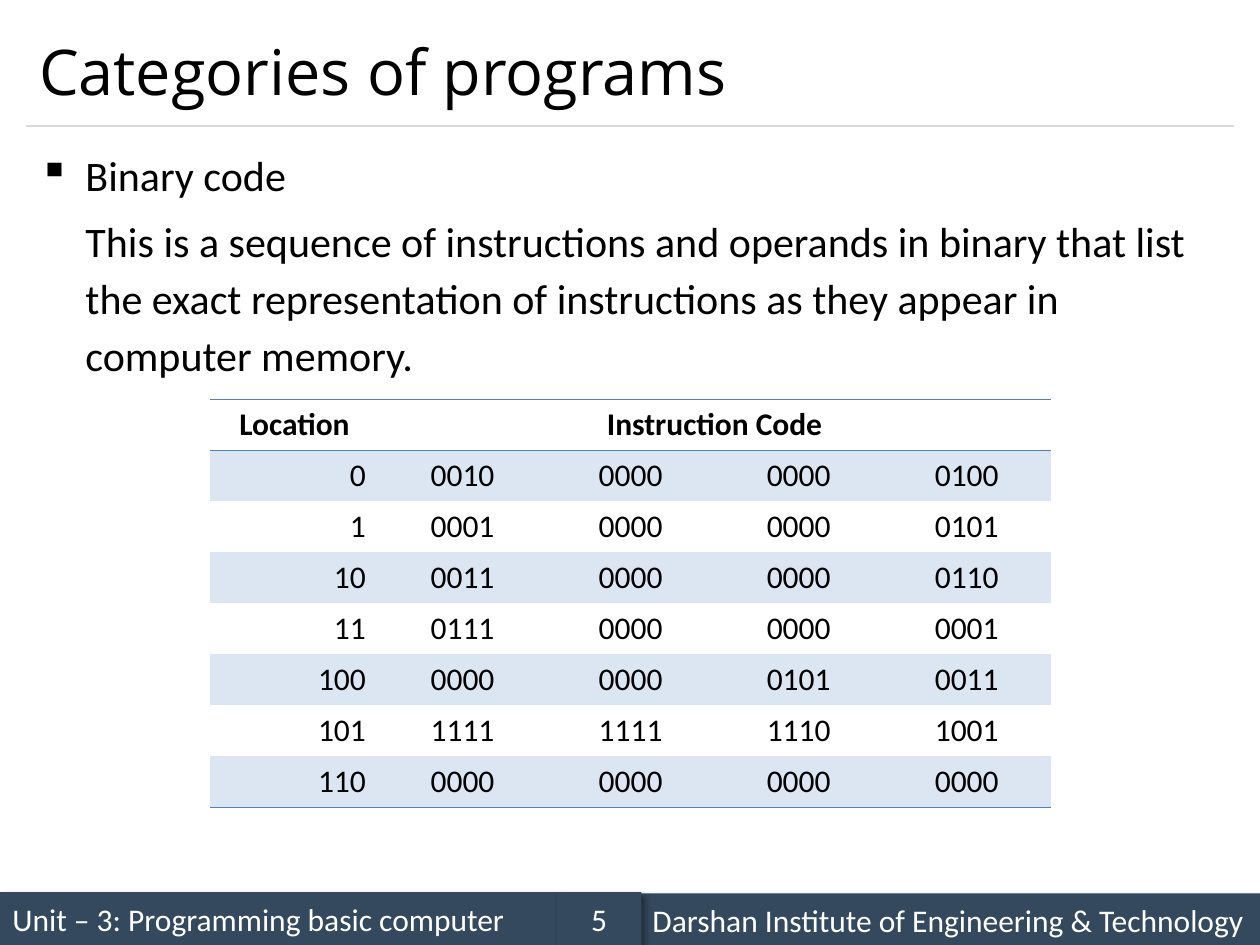
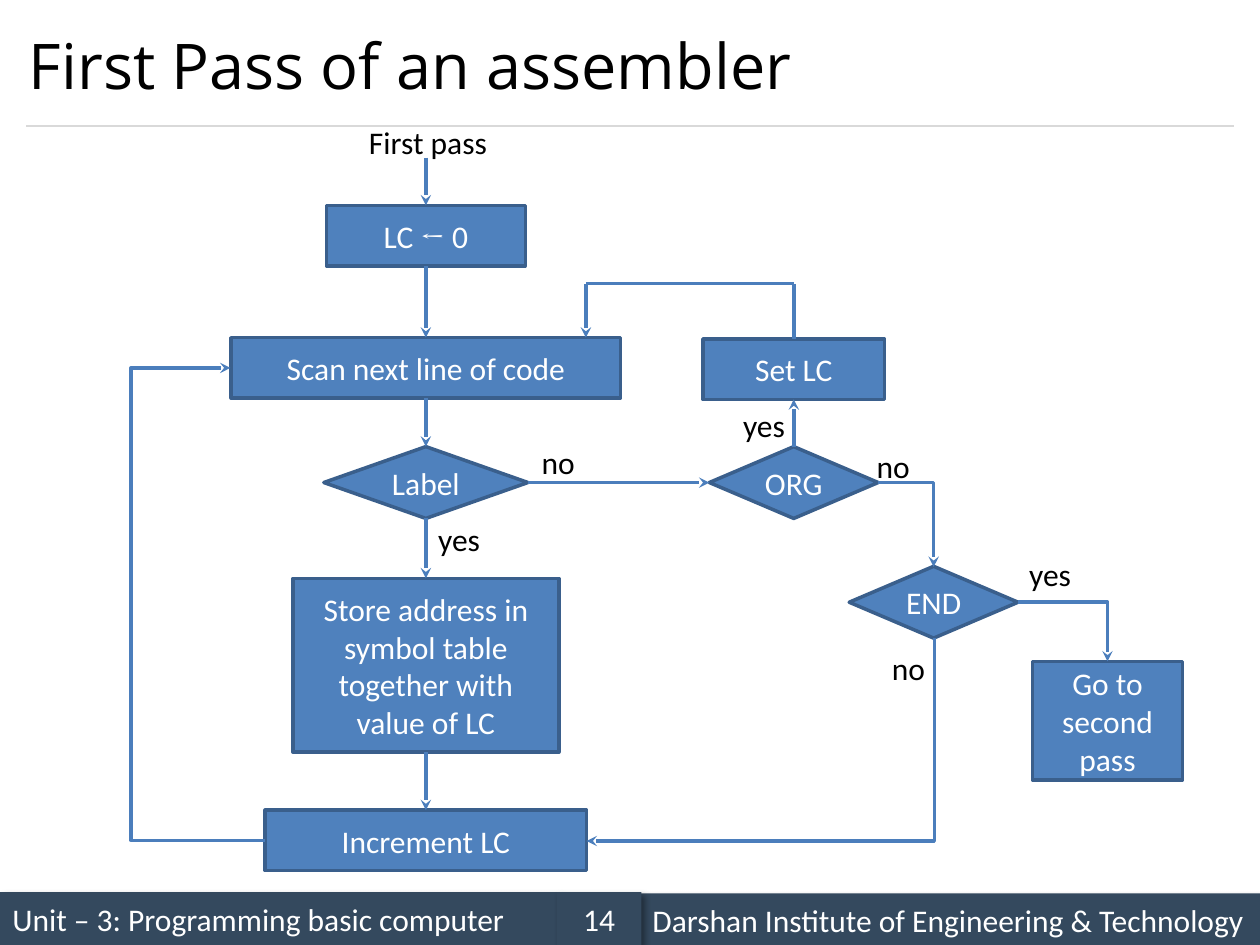
from lxml.etree import SubElement
from pptx import Presentation
from pptx.dml.color import RGBColor
from pptx.enum.shapes import MSO_CONNECTOR as Link, MSO_SHAPE as Shape
from pptx.enum.text import MSO_ANCHOR as Anchor, PP_ALIGN as Align
from pptx.oxml.ns import qn
from pptx.util import Inches, Pt

BLACK = RGBColor(0x00, 0x00, 0x00)
WHITE = RGBColor(0xFF, 0xFF, 0xFF)
SLATE = RGBColor(0x34, 0x49, 0x5E)
RULE_GREY = RGBColor(0xD9, 0xD9, 0xD9)
BLUE = RGBColor(0x4F, 0x81, 0xBD)
OUTLINE_BLUE = RGBColor(0x3A, 0x5F, 0x8C)
ARROW_BLUE = RGBColor(0x4B, 0x7E, 0xBC)
BAND_BLUE = RGBColor(0xDC, 0xE6, 0xF2)

BODY_FONT = "Calibri"
TITLE = {"name": "Open Sans", "size": Pt(36), "color": BLACK}
LEAD = {"name": BODY_FONT, "size": Pt(24), "color": BLACK}
LABEL = {"name": BODY_FONT, "size": Pt(18), "color": BLACK}
HEADER = {**LABEL, "bold": True}
ON_DARK = {**LABEL, "color": WHITE}
NO_GRID_STYLE = "{2D5ABB26-0587-4C30-8999-92F81FD0307C}"

UNIT = "Unit – 3: Programming basic computer"
INSTITUTE = "Darshan Institute of Engineering & Technology"

LEAD_LINES = [
    "Binary code",
    "This is a sequence of instructions and operands in binary that list the exact "
    "representation of instructions as they appear in computer memory.",
]
CODE_HEADER = ["Location", "Instruction Code"]
CODE_ROWS = [
    ["0", "0010", "0000", "0000", "0100"],
    ["1", "0001", "0000", "0000", "0101"],
    ["10", "0011", "0000", "0000", "0110"],
    ["11", "0111", "0000", "0000", "0001"],
    ["100", "0000", "0000", "0101", "0011"],
    ["101", "1111", "1111", "1110", "1001"],
    ["110", "0000", "0000", "0000", "0000"],
]

MAIN_X, ORG_X, END_X, FINISH_X = 3.38, 6.3, 7.41, 8.79
TEST_Y, SCAN_Y, STEP_Y = 3.83, 2.92, 6.67
BOX, TEST = Shape.RECTANGLE, Shape.FLOWCHART_DECISION
STEPS = {
    "reset": (BOX, MAIN_X, 1.87, 1.58, 0.48, "LC ← 0"),
    "scan": (BOX, MAIN_X, SCAN_Y, 3.09, 0.48, "Scan next line of code"),
    "label": (TEST, MAIN_X, TEST_Y, 1.62, 0.57, "Label"),
    "store": (BOX, MAIN_X, 5.28, 2.11, 1.38,
              "Store address in symbol table together with value of LC"),
    "increment": (BOX, MAIN_X, STEP_Y, 2.55, 0.48, "Increment LC"),
    "set": (BOX, ORG_X, 2.93, 1.44, 0.48, "Set LC"),
    "org": (TEST, ORG_X, TEST_Y, 1.34, 0.57, "ORG"),
    "end": (TEST, END_X, 4.78, 1.34, 0.57, "END"),
    "finish": (BOX, FINISH_X, 5.72, 1.19, 0.94, "Go to second pass"),
}
TOP, LEFT, BOTTOM, RIGHT = range(4)
JOINS = [
    ("reset", BOTTOM, "scan", TOP),
    ("scan", BOTTOM, "label", TOP),
    ("label", RIGHT, "org", LEFT),
    ("label", BOTTOM, "store", TOP),
    ("store", BOTTOM, "increment", TOP),
    ("org", TOP, "set", BOTTOM),
]
FLOW_LABELS = [
    (2.83, 0.93, 1.15, "First pass"),
    (4.2, 3.47, 0.47, "no"),
    (6.86, 3.5, 0.47, "no"),
    (6.98, 5.1, 0.47, "no"),
    (3.38, 4.08, 0.54, "yes"),
    (5.8, 3.17, 0.54, "yes"),
    (8.07, 4.36, 0.54, "yes"),
]


def apply_format(font, values):
    for key, value in values.items():
        if key == "color":
            font.color.rgb = value
        else:
            setattr(font, key, value)


def write(frame, text, values, align=Align.LEFT, anchor=Anchor.MIDDLE):
    frame.vertical_anchor = anchor
    para = frame.paragraphs[0]
    para.alignment = align
    before, arrow, after = text.partition("←")
    for part in filter(None, (before, arrow, after)):
        span = para.add_run()
        span.text = part
        apply_format(span.font, values)
        if part == "←":
            span.font.name = "Cambria"


def add_block(page, kind, area, fill, text, align, outline=None):
    block = page.shapes.add_shape(kind, *map(Inches, area))
    block.shadow.inherit = False
    block.fill.solid()
    block.fill.fore_color.rgb = fill
    if outline:
        block.line.color.rgb = outline
        block.line.width = Pt(2)
    else:
        block.line.fill.background()
    block.text_frame.word_wrap = True
    write(block.text_frame, text, ON_DARK, align)
    return block


def add_line(page, start, end, color=ARROW_BLUE, width=2, arrow=True, kind=Link.STRAIGHT):
    line = page.shapes.add_connector(kind, *map(Inches, (*start, *end)))
    line.line.color.rgb = color
    line.line.width = Pt(width)
    if arrow:
        SubElement(line.line._get_or_add_ln(), qn("a:tailEnd"), type="stealth")
    SubElement(line._element.spPr, qn("a:effectLst"))
    return line


def add_elbow(page, start, end, preset="bentConnector2", turn=0, bend=None):
    elbow = add_line(page, start, end, kind=Link.ELBOW)
    geometry = elbow._element.spPr.find(qn("a:prstGeom"))
    geometry.set("prst", preset)
    if turn:
        elbow._element.spPr.find(qn("a:xfrm")).set("rot", str(turn * 60000))
    if bend:
        guides = geometry.find(qn("a:avLst"))
        if guides is None:
            guides = SubElement(geometry, qn("a:avLst"))
        SubElement(guides, qn("a:gd"), name="adj1", fmla=f"val {round(bend * 100000)}")


def add_footer_shadow(block):
    effects = block._element.spPr.find(qn("a:effectLst"))
    shadow = SubElement(effects, qn("a:outerShdw"), blurRad=str(Pt(4)), dist=str(Pt(3)),
                        dir=str(45 * 60000), algn="tl", rotWithShape="0")
    color = SubElement(shadow, qn("a:srgbClr"), val="000000")
    SubElement(color, qn("a:alpha"), val="40000")


def add_page(deck, title, number, left, top):
    page = deck.slides.add_slide(deck.slide_layouts[5])
    footers = [
        ((0, 7.08, 4.42, 0.42), UNIT, Align.LEFT),
        ((5.08, 7.09, 4.92, 0.42), INSTITUTE, Align.LEFT),
        ((4.42, 7.08, 0.67, 0.42), str(number), Align.CENTER),
    ]
    for area, text, align in footers:
        add_footer_shadow(add_block(page, BOX, area, SLATE, text, align))
    add_line(page, (0.21, 1), (9.79, 1), RULE_GREY, 0.75, arrow=False)
    heading = page.shapes.title
    heading.left, heading.top, heading.width, heading.height = map(
        Inches, (left, top, 9.58, 0.88))
    write(heading.text_frame, title, TITLE)
    return page


def add_lead(page):
    box = page.shapes.add_textbox(*map(Inches, (0.21, 1.08, 9.58, 2)))
    frame = box.text_frame
    frame.word_wrap = True
    for index, text in enumerate(LEAD_LINES):
        para = frame.add_paragraph() if index else frame.paragraphs[0]
        properties = para._p.get_or_add_pPr()
        properties.set("marL", str(Inches(0.37)))
        properties.set("indent", str(0 if index else Inches(-0.37)))
        if index:
            SubElement(properties, qn("a:buNone"))
            para.space_before = Pt(4.8)
        else:
            SubElement(properties, qn("a:buChar"), char="▪")
        para.line_spacing = 1.14
        span = para.add_run()
        span.text = text
        apply_format(span.font, LEAD)


def add_border(cell, side):
    properties = cell._tc.get_or_add_tcPr()
    border = SubElement(properties, qn(f"a:{side}"), w=str(Pt(1)))
    fill = SubElement(border, qn("a:solidFill"))
    SubElement(fill, qn("a:srgbClr"), val=str(BLUE))


def add_code_table(page):
    columns = len(CODE_ROWS[0])
    rows = [CODE_HEADER + [""] * (columns - len(CODE_HEADER)), *CODE_ROWS]
    frame = page.shapes.add_table(len(rows), columns, *map(Inches, (1.67, 3.17, 6.67, 3.24)))
    table = frame.table
    table._tbl.tblPr.find(qn("a:tableStyleId")).text = NO_GRID_STYLE
    table.horz_banding = False
    for row, values in enumerate(rows):
        for column, text in enumerate(values):
            cell = table.cell(row, column)
            align = Align.RIGHT if row and not column else Align.CENTER
            if text:
                write(cell.text_frame, text, LABEL if row else HEADER, align, Anchor.TOP)
            if row == 0:
                add_border(cell, "lnT")
            if row in (0, len(rows) - 1):
                add_border(cell, "lnB")
            if row % 2:
                cell.fill.solid()
                cell.fill.fore_color.rgb = BAND_BLUE
            else:
                cell.fill.background()
    table.cell(0, 1).merge(table.cell(0, columns - 1))


def add_flowchart(page):
    blocks = {}
    for name, (kind, x, y, width, height, text) in STEPS.items():
        area = (x - width / 2, y - height / 2, width, height)
        blocks[name] = add_block(page, kind, area, BLUE, text, Align.CENTER, OUTLINE_BLUE)

    for source, source_side, target, target_side in JOINS:
        arrow = add_line(page, (0, 0), (1, 1))
        arrow.begin_connect(blocks[source], source_side)
        arrow.end_connect(blocks[target], target_side)

    add_elbow(page, (6.97, TEST_Y), (END_X, 4.5))
    add_elbow(page, (8.08, 4.78), (FINISH_X, 5.25))
    add_elbow(page, (5.23, 4.49), (6.84, 7.25), turn=90)
    add_elbow(page, (2.1, STEP_Y), (1.83, SCAN_Y), "bentConnector3", bend=3.92)

    entry = add_line(page, (MAIN_X, 1.25), (MAIN_X, 1.63))
    entry.end_connect(blocks["reset"], TOP)
    return_y, return_x = 2.25, 4.65
    rise = add_line(page, (ORG_X, 2.69), (ORG_X, return_y), arrow=False)
    rise.begin_connect(blocks["set"], TOP)
    add_line(page, (ORG_X, return_y), (return_x, return_y), arrow=False)
    add_line(page, (return_x, return_y), (return_x, 2.68))

    for left, top, width, text in FLOW_LABELS:
        box = page.shapes.add_textbox(*map(Inches, (left, top, width, 0.4)))
        box.text_frame.word_wrap = False
        write(box.text_frame, text, LABEL, anchor=Anchor.TOP)


def main():
    deck = Presentation()
    deck.slide_width, deck.slide_height = Inches(10), Inches(7.5)
    binary_page = add_page(deck, "Categories of programs", 5, 0.21, 0.12)
    add_lead(binary_page)
    add_code_table(binary_page)
    add_flowchart(add_page(deck, "First Pass of an assembler", 14, 0.13, 0.07))
    deck.save("out.pptx")


if __name__ == "__main__":
    main()
